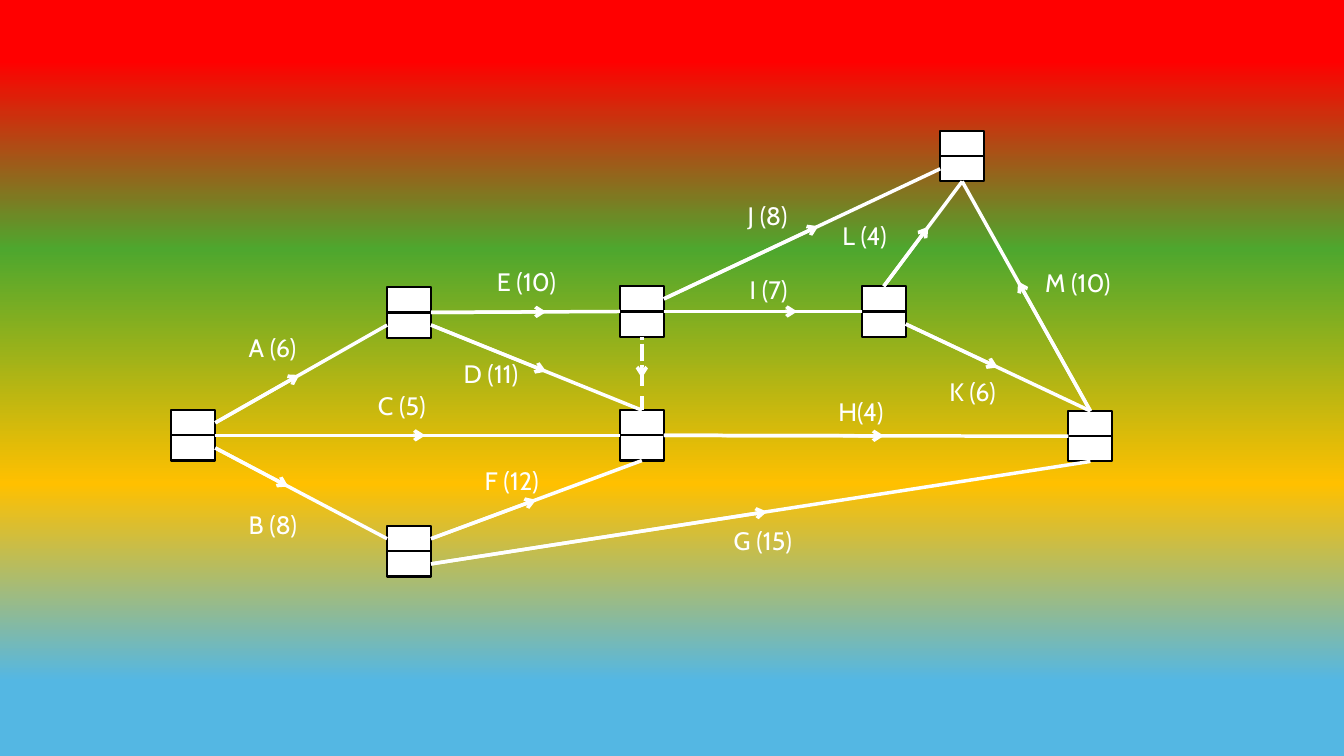
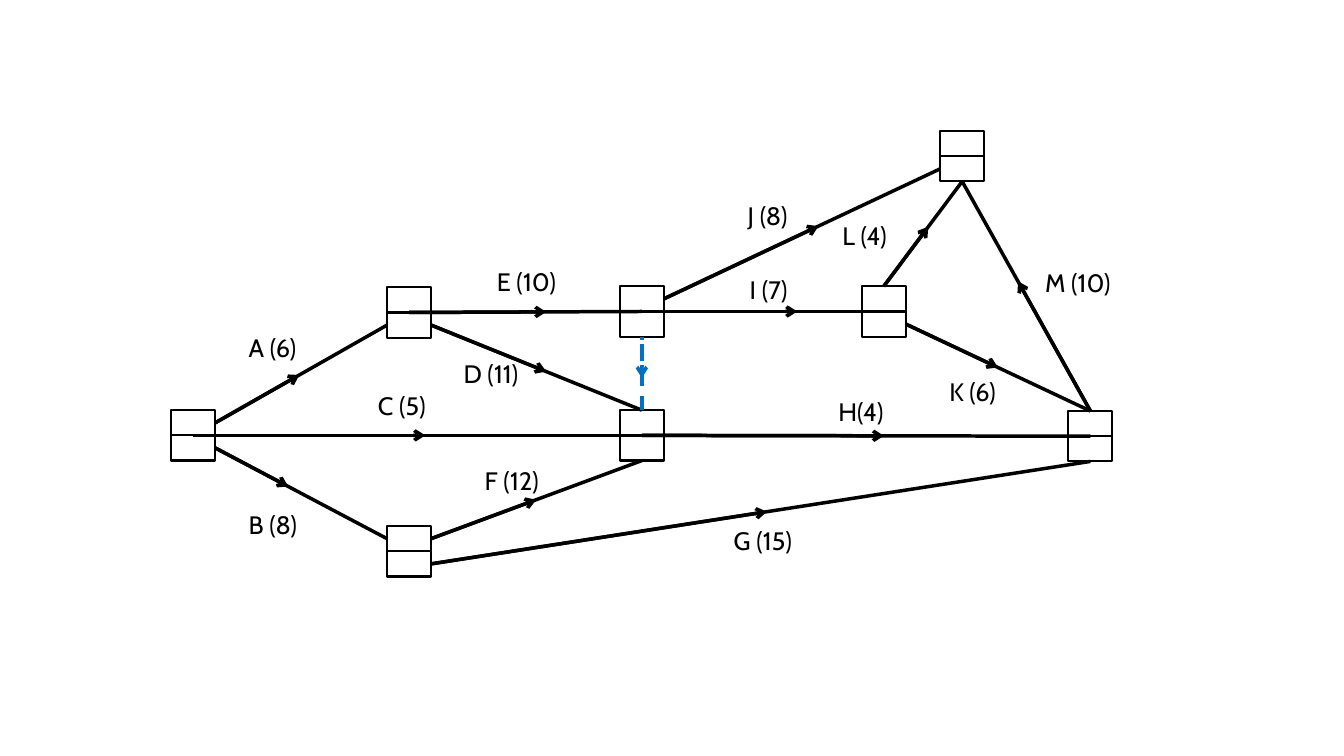
from copy import deepcopy

from pptx import Presentation
from pptx.dml.color import RGBColor as Rgb
from pptx.enum.dml import MSO_LINE as Dash
from pptx.enum.shapes import MSO_CONNECTOR as Conn, MSO_SHAPE as Kind
from pptx.enum.text import MSO_AUTO_SIZE as Fit
from pptx.oxml.ns import qn
from pptx.oxml.xmlchemy import OxmlElement as Elem
from pptx.util import Pt

# Colours
WHITE = Rgb(0xFF, 0xFF, 0xFF)
BLACK = Rgb(0x00, 0x00, 0x00)
BLUE = Rgb(0x00, 0x70, 0xC0)
RED = Rgb(0xFF, 0x00, 0x00)
GREEN = Rgb(0x4E, 0xA7, 0x2E)
GOLD = Rgb(0xFF, 0xC0, 0x00)
SKY = Rgb(0x54, 0xB7, 0xE3)
BANDS = [(0.08, RED), (0.33, GREEN), (0.64, GOLD), (0.9, SKY)]

# Format values
FONT = {"name": "Cabin", "size": Pt(18)}
FRAME = {"word_wrap": True, "auto_size": Fit.SHAPE_TO_FIT_TEXT}
BOX_W, BOX_H = 31.4, 18
TEXT_W, TEXT_H = 68, 29

# Events: left and top of each two-cell box
NODES = {
    "start": (122.4, 293), "low": (276.5, 375.8), "mid": (442.8, 293),
    "hub": (442.8, 204.5), "peak": (671.6, 93.6), "fork": (615.6, 204.5),
    "end": (763.2, 293.6), "high": (276.5, 205.2),
}

# Ports: share of the box width and height; "out" and "in" differ by slide
PORTS = {
    "top": (0.5, 0), "foot": (0.5, 1),
    "left up": (0, 0.25), "left low": (0, 0.75),
    "right up": (1, 0.25), "right low": (1, 0.75),
}
EDGES = {"out": (1, 0.5), "in": (0, 0.5)}
CORES = {"out": (0.5, 0.5), "in": (0.5, 0.5)}

# Tasks: label, its left and top, from, to, x of the arrow tip
TASKS = [
    ("A (6)", 170.6, 234, ("start", "right up"), ("high", "left low"), 213.8),
    ("B (8)", 170.6, 360, ("start", "right low"), ("low", "left up"), 205.9),
    ("C (5)", 262.8, 275, ("start", "out"), ("mid", "in"), 303.8),
    ("D (11)", 324, 252.7, ("high", "right low"), ("mid", "top"), 390.2),
    ("E (10)", 347.8, 186.5, ("high", "out"), ("hub", "in"), 390.2),
    ("F (12)", 339.1, 329, ("low", "right up"), ("mid", "foot"), 383),
    ("G (15)", 517, 371.5, ("low", "right low"), ("end", "foot"), 547.9),
    ("H(4)", 591.8, 279.4, ("mid", "out"), ("end", "in"), 631.4),
    ("I (7)", 528.4, 192.2, ("hub", "out"), ("fork", "in"), 569.5),
    ("J (8)", 527, 139.7, ("hub", "right up"), ("peak", "left low"), 584.6),
    ("K (6)", 671, 265, ("fork", "right low"), ("end", "top"), 712.8),
    ("L (4)", 594.6, 154.1, ("fork", "top"), ("peak", "foot"), 663.1),
    ("M (10)", 739.4, 187.2, ("end", "top"), ("peak", "foot"), 727.2),
]
DUMMY_TIP = 270


def put(obj, vals):
    for key, val in vals.items():
        setattr(obj, key, val)


class Deck:
    def __init__(self):
        self.prs = Presentation()
        put(self.prs, {"slide_width": Pt(960), "slide_height": Pt(540)})

    def page(self, ink, dash_ink, ports, bands=None):
        self.slide = self.prs.slides.add_slide(self.prs.slide_layouts[6])
        self.ink, self.dash_ink = ink, dash_ink
        self.ports = PORTS | ports
        fill = self.slide.background.fill
        if not bands:
            fill.solid()
            fill.fore_color.rgb = WHITE
            return
        fill.gradient()
        fill.gradient_angle = 270
        stops = self.slide.element.find(".//" + qn("a:gsLst"))
        while len(stops) < len(bands):
            stops.append(deepcopy(stops[0]))
        for stop, (place, tint) in zip(fill.gradient_stops, bands):
            stop.position = place
            stop.color.rgb = tint

    def node(self, left, top):
        group = self.slide.shapes.add_group_shape()
        for row in range(2):
            box = group.shapes.add_shape(
                Kind.RECTANGLE, Pt(left), Pt(top + row * BOX_H),
                Pt(BOX_W), Pt(BOX_H))
            box.shadow.inherit = False
            box.fill.solid()
            box.fill.fore_color.rgb = WHITE
            box.line.color.rgb = BLACK
            box.line.width = Pt(1.5)

    def spot(self, name, port):
        left, top = NODES[name]
        across, down = self.ports[port]
        return left + across * BOX_W, top + down * 2 * BOX_H

    def line(self, start, end, ink, dash=None, arrow=False):
        link = self.slide.shapes.add_connector(
            Conn.STRAIGHT, *(Pt(val) for val in start + end))
        link.line.color.rgb = ink
        put(link.line, {"width": Pt(2.5), "dash_style": dash})
        shape = link.element.spPr
        if arrow:
            tail = Elem("a:tailEnd")
            tail.set("type", "arrow")
            shape.find(qn("a:ln")).append(tail)
        shape.append(Elem("a:effectLst"))

    def task(self, start, end, tip):
        (x1, y1), (x2, y2) = start, end
        self.line(start, end, self.ink)
        rise = (y2 - y1) * (tip - x1) / (x2 - x1)
        self.line(start, (tip, y1 + rise), self.ink, arrow=True)

    def label(self, text, left, top):
        box = self.slide.shapes.add_textbox(
            Pt(left), Pt(top), Pt(TEXT_W), Pt(TEXT_H))
        put(box.text_frame, FRAME)
        run = box.text_frame.paragraphs[0].add_run()
        run.text = text
        put(run.font, FONT)
        run.font.color.rgb = self.ink

    def chart(self):
        # Events
        for left, top in NODES.values():
            self.node(left, top)
        # Tasks with an arrow part of the way along
        for text, left, top, start, end, tip in TASKS:
            self.task(self.spot(*start), self.spot(*end), tip)
            self.label(text, left, top)
        # Dashed dummy task
        start, end = self.spot("hub", "foot"), self.spot("mid", "top")
        self.line(end, start, self.dash_ink, Dash.DASH)
        self.line(start, (start[0], DUMMY_TIP), self.dash_ink,
                  Dash.ROUND_DOT, arrow=True)


def main():
    deck = Deck()
    # Network on a colour gradient
    deck.page(WHITE, WHITE, EDGES, BANDS)
    deck.chart()
    # Network on white
    deck.page(BLACK, BLUE, CORES)
    deck.chart()
    deck.prs.save("out.pptx")


if __name__ == "__main__":
    main()
